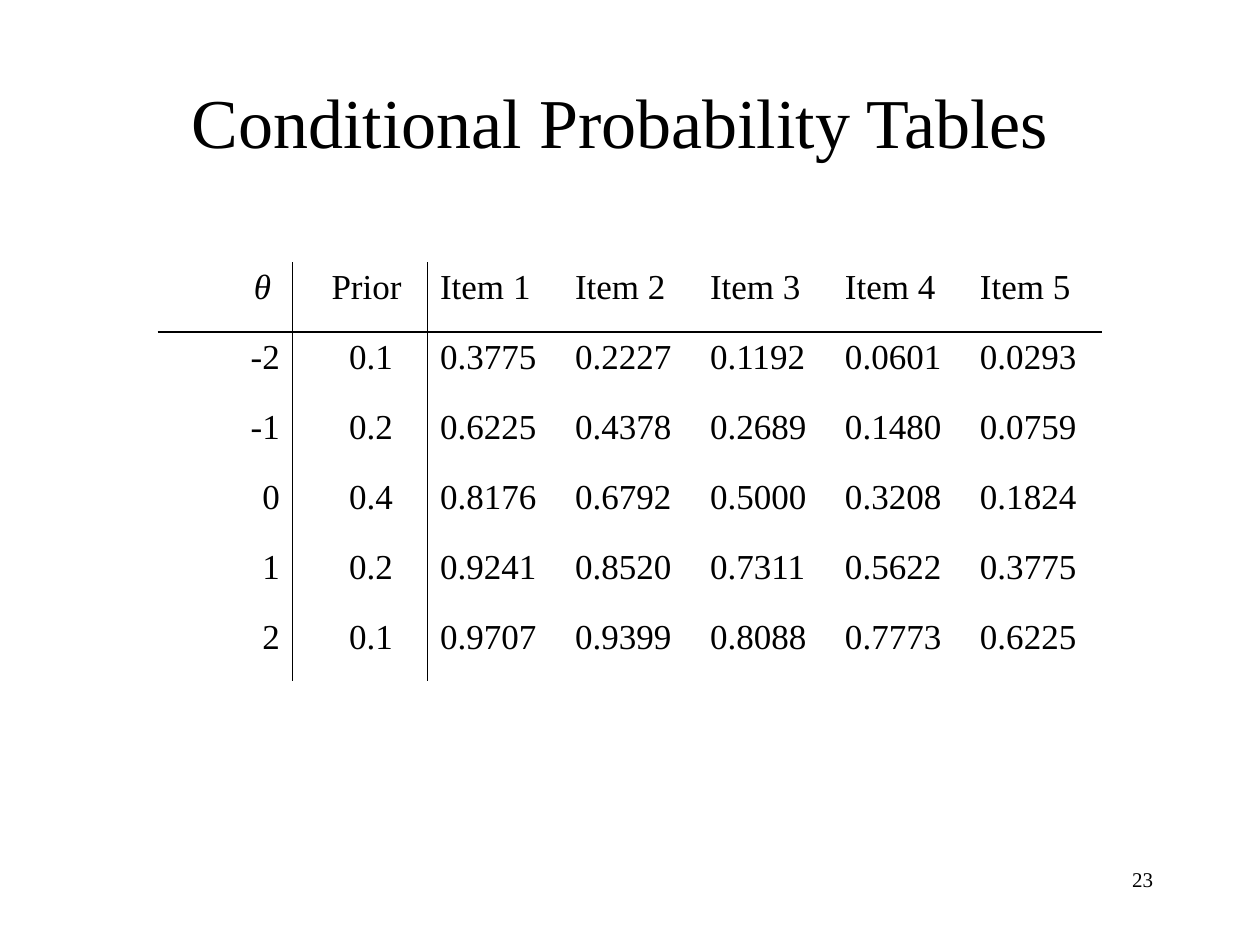
from lxml import etree
from pptx import Presentation
from pptx import util as u
from pptx.dml.color import RGBColor
from pptx.enum import text
from pptx.oxml import ns

FONT = "Times New Roman"
BLACK = "000000"
HEADERS = ["θ", "Prior", "Item 1", "Item 2", "Item 3", "Item 4", "Item 5"]
ROWS = [
    ["-2", "0.1", "0.3775", "0.2227", "0.1192", "0.0601", "0.0293"],
    ["-1", "0.2", "0.6225", "0.4378", "0.2689", "0.1480", "0.0759"],
    ["0", "0.4", "0.8176", "0.6792", "0.5000", "0.3208", "0.1824"],
    ["1", "0.2", "0.9241", "0.8520", "0.7311", "0.5622", "0.3775"],
    ["2", "0.1", "0.9707", "0.9399", "0.8088", "0.7773", "0.6225"],
]


def color(hex_string):
    """Turn a hex string into a colour."""
    return RGBColor.from_string(hex_string)


def set_text(frame, words, size, align):
    """Write one styled paragraph into a text frame."""
    paragraph = frame.paragraphs[0]
    paragraph.text = words
    paragraph.alignment = align
    paragraph.font.name = FONT
    paragraph.font.size = u.Pt(size)
    paragraph.font.color.rgb = color(BLACK)
    return paragraph


def add_label(slide, box, words, size, align, anchor):
    """Add a wrapping text box at left, top, width, height."""
    frame = slide.shapes.add_textbox(*map(u.Inches, box)).text_frame
    frame.word_wrap = True
    frame.vertical_anchor = anchor
    set_text(frame, words, size, align)


def set_borders(cell, ruled):
    """Rule the named cell edges in black and leave the others bare."""
    properties = cell._tc.get_or_add_tcPr()
    for position, edge in enumerate(("lnL", "lnR", "lnT", "lnB")):
        line = etree.Element(ns.qn(f"a:{edge}"), w=str(u.Pt(1)))
        if edge in ruled:
            fill = etree.SubElement(line, ns.qn("a:solidFill"))
            etree.SubElement(fill, ns.qn("a:srgbClr"), val=BLACK)
        else:
            etree.SubElement(line, ns.qn("a:noFill"))
        properties.insert(position, line)


def ruled_edges(row, column):
    """List the ruled edges: below the header and after two columns."""
    rules = {"lnL": column in (1, 2), "lnR": column in (0, 1),
             "lnT": row == 1, "lnB": row == 0}
    return [edge for edge, ruled in rules.items() if ruled]


def add_probability_table(slide):
    """Add the table of priors and conditional probabilities."""
    data = [HEADERS] + ROWS
    box = map(u.Inches, (1.25, 2.08, 7.5, 3.33))
    table = slide.shapes.add_table(len(data), len(HEADERS), *box).table
    table.first_row = table.horz_banding = False
    for row, values in enumerate(data):
        for column, value in enumerate(values):
            cell = table.cell(row, column)
            cell.fill.background()
            align = text.PP_ALIGN.RIGHT if column == 0 else text.PP_ALIGN.LEFT
            paragraph = set_text(cell.text_frame, value, 20, align)
            paragraph.font.italic = value == "θ"
            if column == 1:
                cell.margin_left = u.Inches(0.31 if row == 0 else 0.45)
            set_borders(cell, ruled_edges(row, column))
    table.cell(0, 0).margin_right = u.Inches(0.17)


def main():
    """Build the slide and save it."""
    presentation = Presentation()
    presentation.slide_width = u.Inches(10)
    presentation.slide_height = u.Inches(7.5)
    slide = presentation.slides.add_slide(presentation.slide_layouts[6])
    add_label(slide, (7.17, 6.83, 2.08, 0.5), "23", 12,
              text.PP_ALIGN.RIGHT, text.MSO_ANCHOR.TOP)
    add_label(slide, (0.67, 0.33, 8.5, 1.25), "Conditional Probability Tables",
              40, text.PP_ALIGN.CENTER, text.MSO_ANCHOR.MIDDLE)
    add_probability_table(slide)
    presentation.save("out.pptx")


if __name__ == "__main__":
    main()
